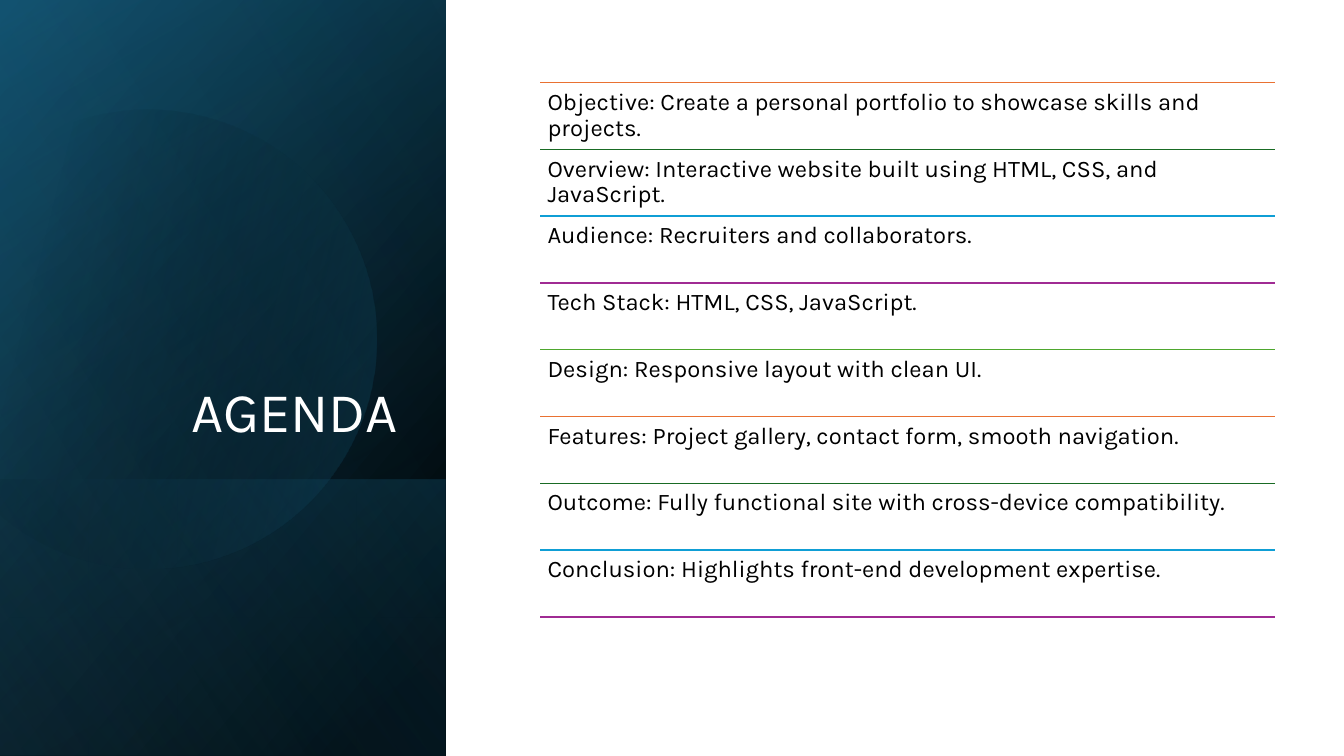
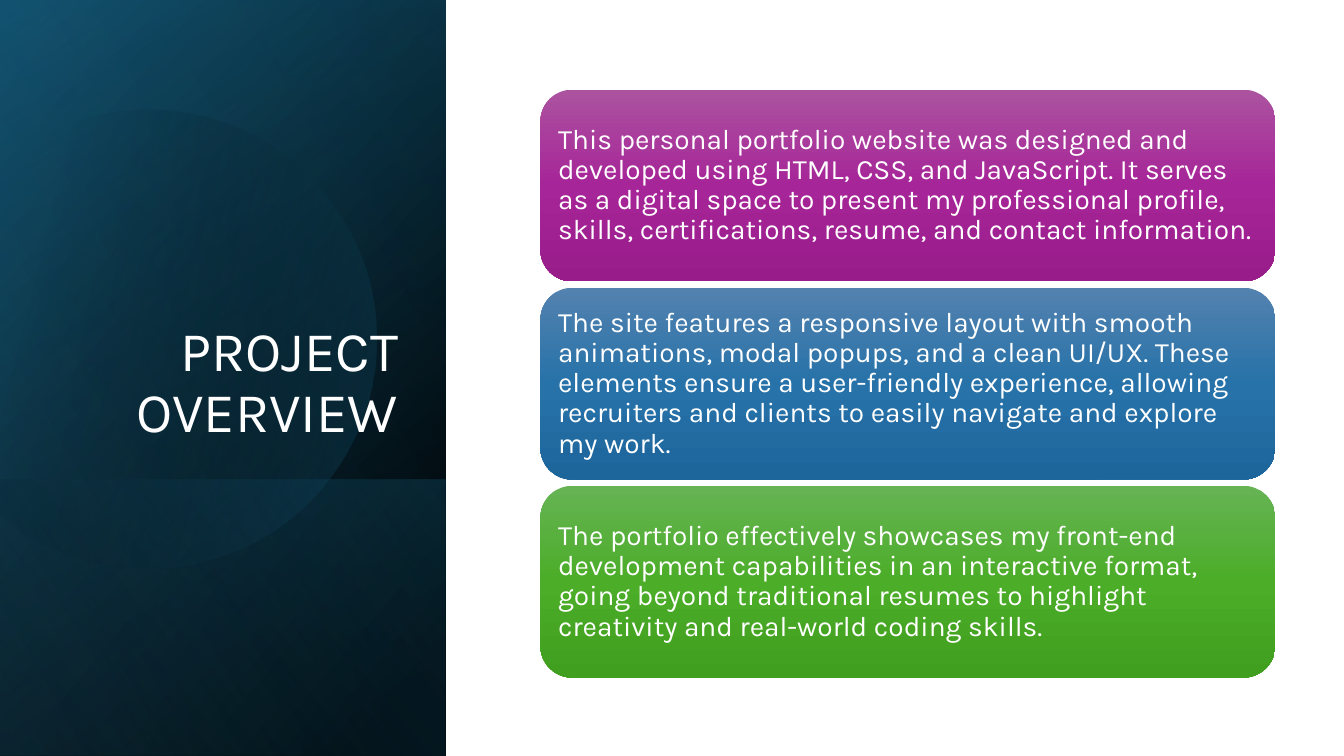
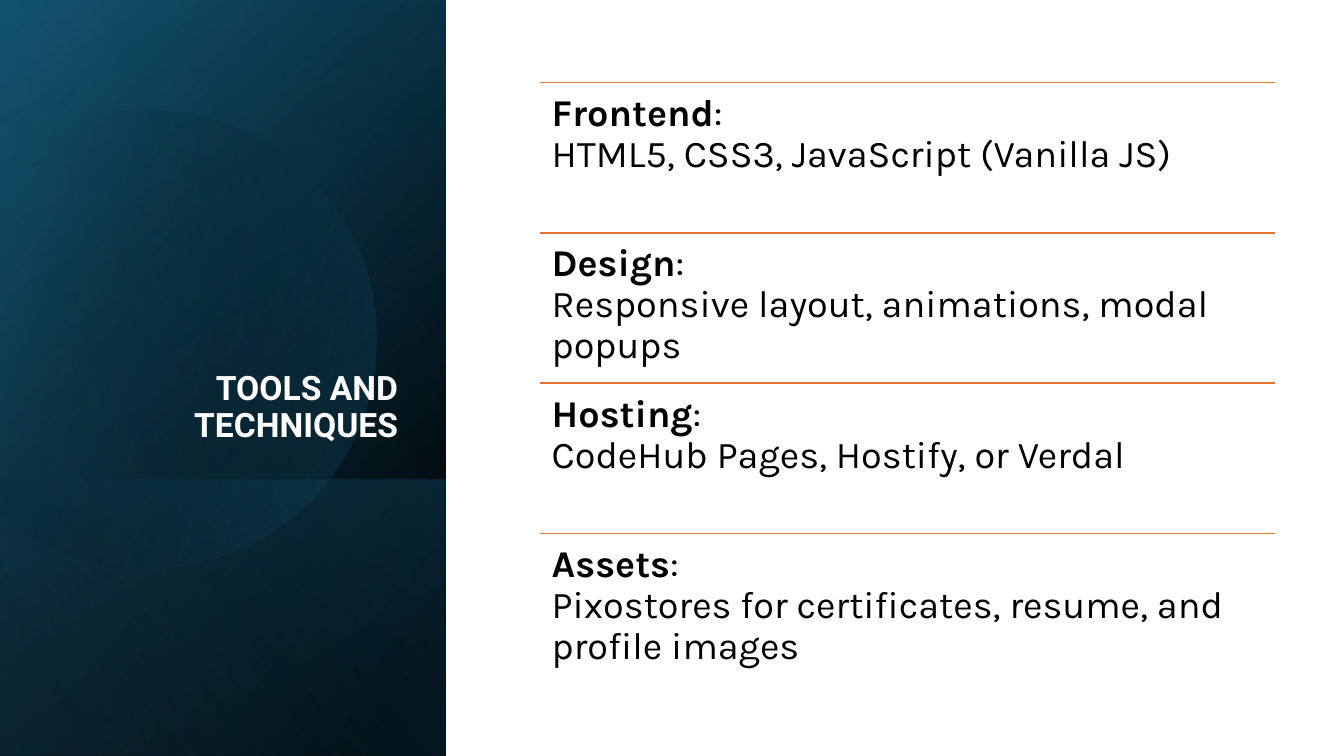
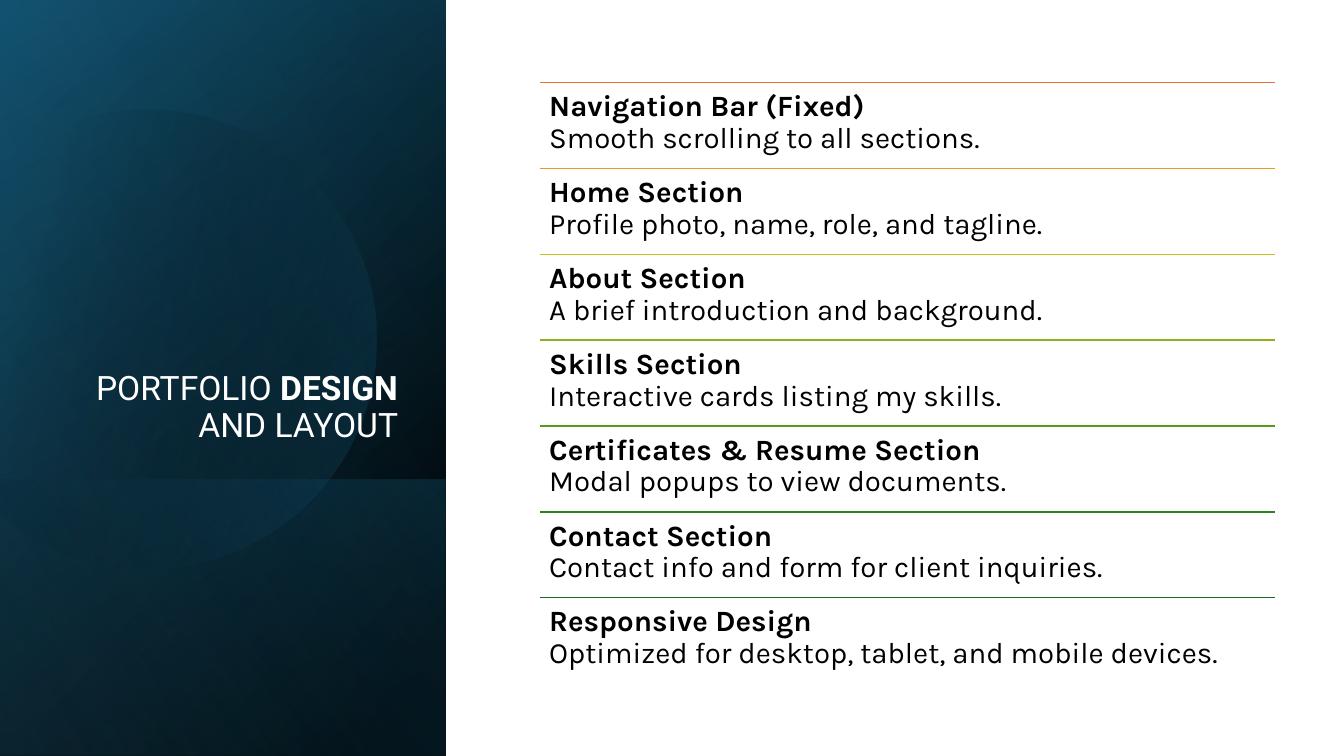
import dataclasses
import itertools
import math

import lxml.etree
import pptx
import pptx.dml.color
import pptx.enum.shapes
import pptx.enum.text
import pptx.oxml.ns
import pptx.util

Pt = pptx.util.Pt
qn = pptx.oxml.ns.qn


@dataclasses.dataclass(frozen=True)
class Theme:
    body_font: str = "Karla"
    accent_font: str = "Roboto"
    title_size: int = 40
    small_title_size: int = 24
    agenda_size: int = 17
    card_size: int = 20
    section_size: int = 21
    tool_size: int = 27
    line_spacing: float = 0.9
    inset_ratio: float = 0.3
    white: str = "FFFFFF"
    black: str = "000000"
    navy: str = "104862"
    teal: str = "156082"
    sky: str = "46B1E1"
    orange: str = "E97132"
    agenda_rules: tuple = ("E97132", "196B24", "0F9ED5", "A02B93", "4EA72E")
    section_rules: tuple = ("E97132", "E39D1F", "CBC11E", "8EB21E",
                            "56991D", "2C821B", "196B24")
    purple_card: tuple = ("AC53A0", "A62598", "991C8B")
    blue_card: tuple = ("5382AF", "2772A9", "1D669C")
    green_card: tuple = ("66B354", "4BAD28", "409F1E")


THEME = Theme()
SLIDE_WIDTH, SLIDE_HEIGHT = 960, 540
PANEL_WIDTH = 318.5
LOWER_PANEL_HEIGHT = 197.3
CONTENT_LEFT, CONTENT_WIDTH = 386, 525
LIST_TOP, LIST_HEIGHT = 59, 429.3
AGENDA_HEIGHT = 381.6
CARD_TOP, CARD_HEIGHT, CARD_GAP = 64, 137, 4.5

AGENDA = (
    "Objective: Create a personal portfolio to showcase skills and projects.",
    "Overview: Interactive website built using HTML, CSS, and JavaScript.",
    "Audience: Recruiters and collaborators.",
    "Tech Stack: HTML, CSS, JavaScript.",
    "Design: Responsive layout with clean UI.",
    "Features: Project gallery, contact form, smooth navigation.",
    "Outcome: Fully functional site with cross-device compatibility.",
    "Conclusion: Highlights front-end development expertise.",
)
CARDS = (
    ("This personal portfolio website was designed and developed using HTML, "
     "CSS, and JavaScript. It serves as a digital space to present my "
     "professional profile, skills, certifications, resume, and contact "
     "information.", THEME.purple_card),
    ("The site features a responsive layout with smooth animations, modal "
     "popups, and a clean UI/UX. These elements ensure a user-friendly "
     "experience, allowing recruiters and clients to easily navigate and "
     "explore my work.", THEME.blue_card),
    ("The portfolio effectively showcases my front-end development "
     "capabilities in an interactive format, going beyond traditional resumes "
     "to highlight creativity and real-world coding skills.",
     THEME.green_card),
)
TOOLS = (
    ("Frontend", "HTML5, CSS3, JavaScript (Vanilla JS)"),
    ("Design", "Responsive layout, animations, modal popups"),
    ("Hosting", "CodeHub Pages, Hostify, or Verdal"),
    ("Assets", "Pixostores for certificates, resume, and profile images"),
)
SECTIONS = (
    ("Navigation Bar (Fixed)", "Smooth scrolling to all sections."),
    ("Home Section", "Profile photo, name, role, and tagline."),
    ("About Section", "A brief introduction and background."),
    ("Skills Section", "Interactive cards listing my skills."),
    ("Certificates & Resume Section", "Modal popups to view documents."),
    ("Contact Section", "Contact info and form for client inquiries."),
    ("Responsive Design", "Optimized for desktop, tablet, and mobile devices."),
)


def write_text(shape, runs, *, size, color, font=THEME.body_font, inset=None,
               align=pptx.enum.text.PP_ALIGN.LEFT,
               anchor=pptx.enum.text.MSO_ANCHOR.TOP):
    frame = shape.text_frame
    frame.word_wrap = True
    frame.auto_size = pptx.enum.text.MSO_AUTO_SIZE.NONE
    frame.vertical_anchor = anchor
    if inset is not None:
        frame.margin_left = frame.margin_right = Pt(inset)
        frame.margin_top = frame.margin_bottom = Pt(inset)
    paragraph = frame.paragraphs[0]
    paragraph.alignment = align
    paragraph.line_spacing = THEME.line_spacing
    for text, bold in runs:
        for index, line in enumerate(text.split("\n")):
            if index:
                paragraph.add_line_break()
            if line:
                run = paragraph.add_run()
                run.text = line
                run.font.name = font
                run.font.size = Pt(size)
                run.font.bold = bold
                run.font.color.rgb = pptx.dml.color.RGBColor.from_string(color)


def fill_gradient(shape, stops, angle):
    shape.shadow.inherit = False
    shape.fill.background()
    shape.line.fill.background()
    gradient = lxml.etree.Element(qn("a:gradFill"), rotWithShape="1")
    stop_list = lxml.etree.SubElement(gradient, qn("a:gsLst"))
    for position, color, opacity in stops:
        stop = lxml.etree.SubElement(stop_list, qn("a:gs"), pos=str(position * 1000))
        fill = lxml.etree.SubElement(stop, qn("a:srgbClr"), val=color)
        if opacity < 100:
            lxml.etree.SubElement(fill, qn("a:alpha"), val=str(opacity * 1000))
    lxml.etree.SubElement(gradient, qn("a:lin"), ang=str(angle * 60000), scaled="0")
    properties = shape._element.spPr
    properties.replace(properties.find(qn("a:noFill")), gradient)


def add_panel(slide, top, height, stops, angle):
    left = (PANEL_WIDTH - height) / 2
    unrotated_top = top + (height - PANEL_WIDTH) / 2
    panel = slide.shapes.add_shape(
        pptx.enum.shapes.MSO_SHAPE.RECTANGLE,
        Pt(left), Pt(unrotated_top), Pt(height), Pt(PANEL_WIDTH))
    panel.rotation = 90
    panel._element.spPr.xfrm.set("flipH", "1")
    fill_gradient(panel, stops, angle)


def add_cut_circle(slide):
    center_x, center_y, radius = 105, 239.5, 163.8
    tilt, half_cut, steps = 16.1, 45, 90
    start = 180 + tilt + half_cut
    sweep = 360 - 2 * half_cut
    angles = [math.radians(start + sweep * step / steps)
              for step in range(steps + 1)]
    points = [(Pt(center_x + radius * math.cos(angle)),
               Pt(center_y + radius * math.sin(angle))) for angle in angles]
    builder = slide.shapes.build_freeform(*points[0], scale=1.0)
    builder.add_line_segments(points[1:], close=True)
    circle = builder.convert_to_shape()
    circle.rotation = 360 - tilt
    fill_gradient(circle, ((29, THEME.black, 0), (100, THEME.teal, 43)), 30)


def add_side_panel(slide):
    add_panel(slide, 0, SLIDE_HEIGHT,
              ((8, THEME.black, 100), (100, THEME.navy, 100)), 50)
    add_panel(slide, 0, SLIDE_HEIGHT,
              ((0, THEME.black, 0), (99, THEME.teal, 46)), 30)
    add_panel(slide, SLIDE_HEIGHT - LOWER_PANEL_HEIGHT, LOWER_PANEL_HEIGHT,
              ((2, THEME.teal, 29), (100, THEME.black, 30)), 130)
    add_cut_circle(slide)
    add_panel(slide, 0, SLIDE_HEIGHT,
              ((0, THEME.black, 0), (99, THEME.sky, 11)), 120)


def add_titled_slide(presentation, title_runs, *, size=THEME.title_size,
                     font=THEME.body_font):
    slide = presentation.slides.add_slide(presentation.slide_layouts[5])
    add_side_panel(slide)
    title = slide.shapes.title
    slide.shapes._spTree.append(title._element)
    title.left, title.top = Pt(46), Pt(132.5)
    title.width, title.height = Pt(245.5), Pt(188.6)
    write_text(title, title_runs, size=size, font=font, color=THEME.white,
               align=pptx.enum.text.PP_ALIGN.RIGHT,
               anchor=pptx.enum.text.MSO_ANCHOR.BOTTOM)
    return slide


def add_rule(slide, top, color):
    rule = slide.shapes.add_connector(
        pptx.enum.shapes.MSO_CONNECTOR.STRAIGHT, Pt(CONTENT_LEFT), Pt(top),
        Pt(CONTENT_LEFT + CONTENT_WIDTH), Pt(top))
    rule.line.width = Pt(1)
    rule.line.color.rgb = pptx.dml.color.RGBColor.from_string(color)
    lxml.etree.SubElement(rule._element.spPr, qn("a:effectLst"))


def add_ruled_list(slide, rows, *, size, colors, height=LIST_HEIGHT):
    row_height = height / len(rows)
    for index, (runs, color) in enumerate(zip(rows, itertools.cycle(colors))):
        top = LIST_TOP + index * row_height
        add_rule(slide, top, color)
        box = slide.shapes.add_textbox(
            Pt(CONTENT_LEFT), Pt(top), Pt(CONTENT_WIDTH), Pt(row_height))
        write_text(box, runs, size=size, color=THEME.black,
                   inset=size * THEME.inset_ratio)


def add_card(slide, text, top, colors):
    card = slide.shapes.add_shape(
        pptx.enum.shapes.MSO_SHAPE.ROUNDED_RECTANGLE,
        Pt(CONTENT_LEFT), Pt(top), Pt(CONTENT_WIDTH), Pt(CARD_HEIGHT))
    fill_gradient(card, [(position, color, 100)
                         for position, color in zip((0, 50, 100), colors)], 90)
    write_text(card, [(text, False)], size=THEME.card_size, color=THEME.white,
               inset=THEME.card_size * THEME.inset_ratio,
               anchor=pptx.enum.text.MSO_ANCHOR.MIDDLE)


def add_agenda_slide(presentation):
    slide = add_titled_slide(presentation, [("AGENDA", False)])
    add_ruled_list(slide, [[(text, False)] for text in AGENDA],
                   size=THEME.agenda_size, colors=THEME.agenda_rules,
                   height=AGENDA_HEIGHT)
    closing_color = THEME.agenda_rules[len(AGENDA) % len(THEME.agenda_rules)]
    add_rule(slide, LIST_TOP + AGENDA_HEIGHT, closing_color)


def add_overview_slide(presentation):
    slide = add_titled_slide(presentation, [("PROJECT OVERVIEW", False)])
    for index, (text, colors) in enumerate(CARDS):
        add_card(slide, text, CARD_TOP + index * (CARD_HEIGHT + CARD_GAP), colors)


def add_tools_slide(presentation):
    slide = add_titled_slide(presentation, [("TOOLS AND TECHNIQUES", True)],
                             size=THEME.small_title_size, font=THEME.accent_font)
    add_ruled_list(slide, [[(name, True), (":\n" + detail, False)]
                           for name, detail in TOOLS],
                   size=THEME.tool_size, colors=(THEME.orange,))


def add_layout_slide(presentation):
    slide = add_titled_slide(
        presentation,
        [("PORTFOLIO ", False), ("DESIGN", True), (" AND LAYOUT", False)],
        size=THEME.small_title_size, font=THEME.accent_font)
    add_ruled_list(slide, [[(name + "\n", True), (detail, False)]
                           for name, detail in SECTIONS],
                   size=THEME.section_size, colors=THEME.section_rules)


def main():
    presentation = pptx.Presentation()
    presentation.slide_width = Pt(SLIDE_WIDTH)
    presentation.slide_height = Pt(SLIDE_HEIGHT)
    add_agenda_slide(presentation)
    add_overview_slide(presentation)
    add_tools_slide(presentation)
    add_layout_slide(presentation)
    presentation.save("out.pptx")


if __name__ == "__main__":
    main()
